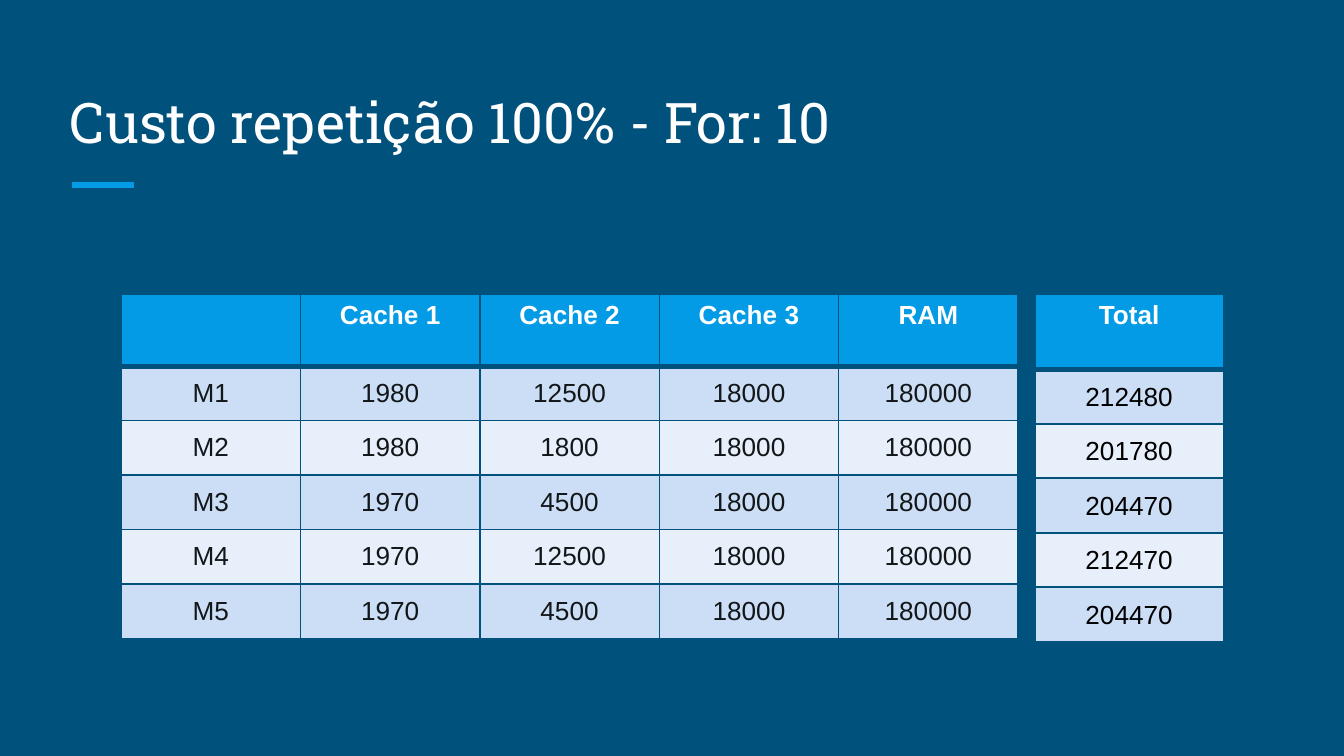
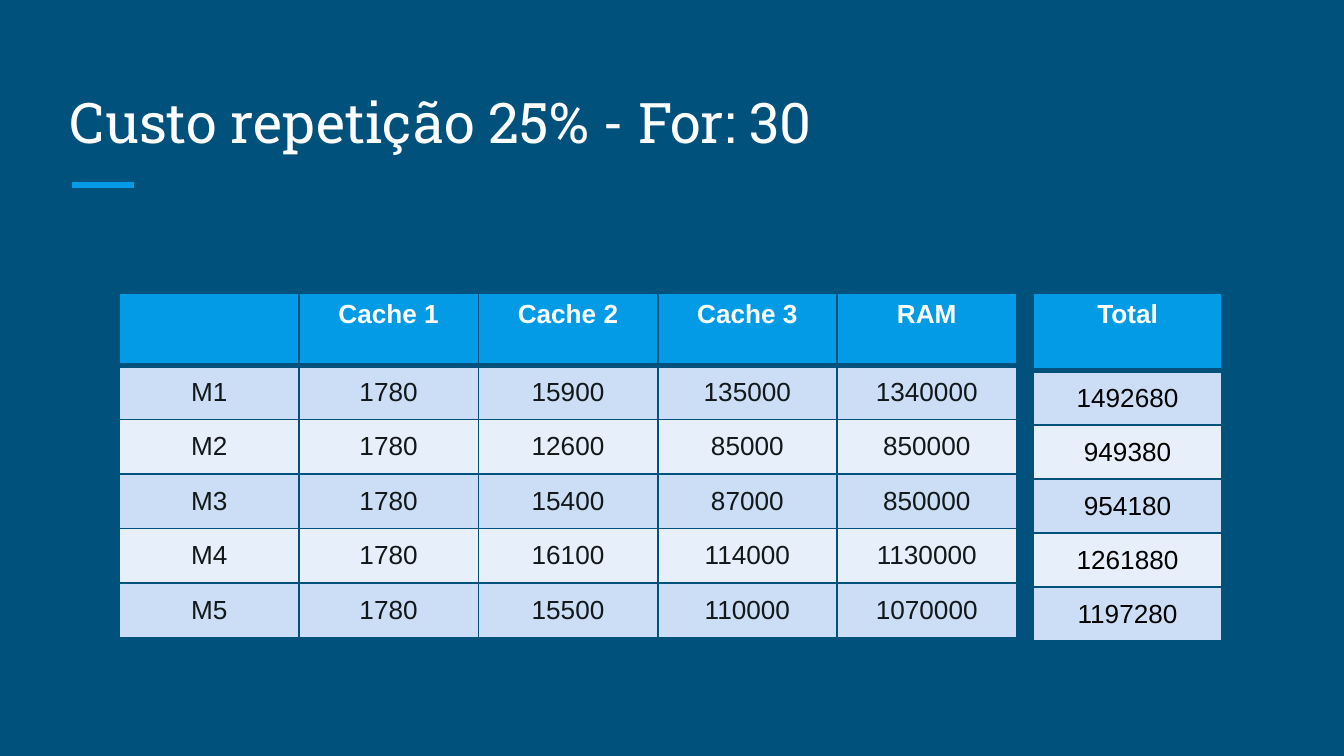
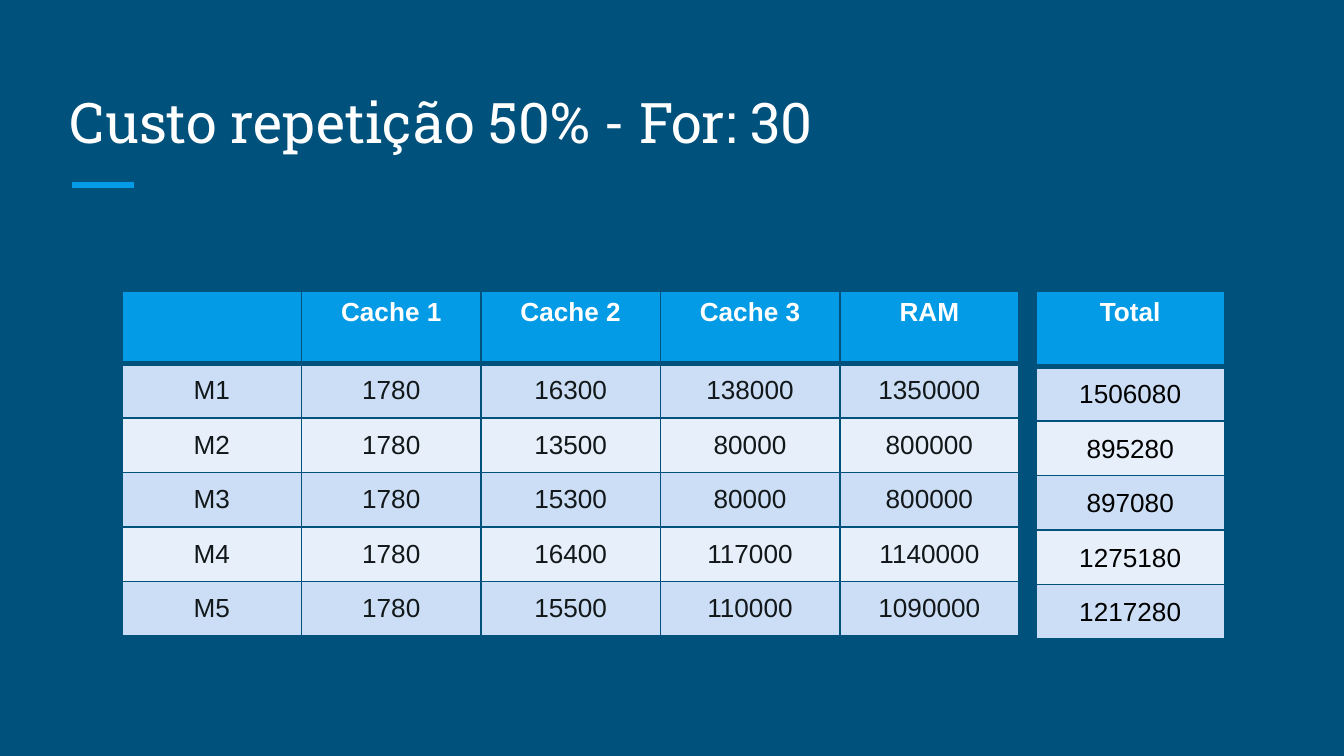
"""Build three slides of memory cost tables with a total column."""
import dataclasses

import lxml.etree
import pptx
import pptx.dml.color
import pptx.enum.shapes
import pptx.enum.text
import pptx.oxml.ns
import pptx.slide
import pptx.table
import pptx.util

Cm = pptx.util.Cm
Pt = pptx.util.Pt
qn = pptx.oxml.ns.qn
BACK, BLUE, WHITE, BLACK = "00517C", "039BE5", "FFFFFF", "000000"
BANDS = ("CCDEF5", "E7EFFA")
INK = "121719"
HEADS = ["", "Cache 1", "Cache 2", "Cache 3", "RAM"]
COL, SUM_COL, SUM_GAP = 3.39, 3.56, 17.27
HEAD, ROW = 1.36, 1.03
TIGHT = (0.03, 0.03, 0.03, 0)


@dataclasses.dataclass
class Page:
    title: str
    left: float
    top: float
    costs: list[list[int]]
    ink: str = INK
    sum_head: float = 1.42
    sum_row: float = ROW


@dataclasses.dataclass
class Grid:
    left: float
    top: float
    width: float
    head: float
    row: float
    rows: list[list[str]]
    inks: list[str]
    pads: tuple[float, ...] | None = None


PAGES = [
    Page("Custo repetição 100% - For: 10", 2.29, 5.56, [
        [1980, 12500, 18000, 180000],
        [1980, 1800, 18000, 180000],
        [1970, 4500, 18000, 180000],
        [1970, 12500, 18000, 180000],
        [1970, 4500, 18000, 180000],
    ], ink="121618"),
    Page("Custo repetição 25% - For: 30", 2.26, 5.54, [
        [1780, 15900, 135000, 1340000],
        [1780, 12600, 85000, 850000],
        [1780, 15400, 87000, 850000],
        [1780, 16100, 114000, 1130000],
        [1780, 15500, 110000, 1070000],
    ], sum_head=1.47, sum_row=1.02),
    Page("Custo repetição 50% - For: 30", 2.31, 5.51, [
        [1780, 16300, 138000, 1350000],
        [1780, 13500, 80000, 800000],
        [1780, 15300, 80000, 800000],
        [1780, 16400, 117000, 1140000],
        [1780, 15500, 110000, 1090000],
    ]),
]


def rgb(code: str) -> pptx.dml.color.RGBColor:
    return pptx.dml.color.RGBColor.from_string(code)


def style(par, face: str, size: float, ink: str, bold: bool = False) -> None:
    font = par.font
    font.name, font.size, font.bold = face, Pt(size), bold
    font.color.rgb = rgb(ink)


def edge(cell: pptx.table._Cell, side: str, width: float) -> None:
    props = cell._tc.get_or_add_tcPr()
    line = lxml.etree.SubElement(props, qn(f"a:ln{side}"), w=str(Pt(width)))
    fill = lxml.etree.SubElement(line, qn("a:solidFill"))
    lxml.etree.SubElement(fill, qn("a:srgbClr"), val=BACK)


def paint(cell: pptx.table._Cell, text: str, row: int, ink: str,
          pads: tuple[float, ...] | None) -> None:
    head = row == 0
    for side in "LRTB":
        thick = (side == "B" and head) or (side == "T" and row == 1)
        edge(cell, side, 3 if thick else 1)
    cell.fill.solid()
    cell.fill.fore_color.rgb = rgb(BLUE if head else BANDS[(row - 1) % 2])
    if not head:
        cell.vertical_anchor = pptx.enum.text.MSO_ANCHOR.MIDDLE
        if pads:
            (cell.margin_left, cell.margin_top,
             cell.margin_right, cell.margin_bottom) = map(Cm, pads)
    if text:
        cell.text = text
        par = cell.text_frame.paragraphs[0]
        par.alignment = pptx.enum.text.PP_ALIGN.CENTER
        style(par, "Arial", 14, WHITE if head else ink, head)


def draw_grid(slide: pptx.slide.Slide, grid: Grid) -> None:
    count, cols = len(grid.rows), len(grid.inks)
    high = grid.head + grid.row * (count - 1)
    table = slide.shapes.add_table(
        count, cols, Cm(grid.left), Cm(grid.top),
        Cm(grid.width * cols), Cm(high)).table
    table.first_row = table.horz_banding = False
    for col in table.columns:
        col.width = Cm(grid.width)
    for num, texts in enumerate(grid.rows):
        table.rows[num].height = Cm(grid.row if num else grid.head)
        for col, (text, ink) in enumerate(zip(texts, grid.inks)):
            paint(table.cell(num, col), text, num, ink, grid.pads)


def draw_title(slide: pptx.slide.Slide, text: str) -> None:
    title = slide.shapes.title
    title.left, title.top = Cm(1.07), Cm(1.27)
    title.width, title.height = Cm(23.24), Cm(1.91)
    frame = title.text_frame
    frame.text = text
    frame.word_wrap = True
    frame.auto_size = pptx.enum.text.MSO_AUTO_SIZE.NONE
    frame.vertical_anchor = pptx.enum.text.MSO_ANCHOR.BOTTOM
    frame.margin_left = frame.margin_right = Cm(0.25)
    frame.margin_top = frame.margin_bottom = Cm(0.25)
    par = frame.paragraphs[0]
    par.alignment = pptx.enum.text.PP_ALIGN.LEFT
    style(par, "Roboto Slab", 30, WHITE)


def draw_rule(slide: pptx.slide.Slide) -> None:
    rule = slide.shapes.add_connector(
        pptx.enum.shapes.MSO_CONNECTOR.STRAIGHT,
        Cm(1.37), Cm(3.5), Cm(2.54), Cm(3.5))
    rule.line.color.rgb = rgb(BLUE)
    rule.line.width = Pt(3)
    lxml.etree.SubElement(rule._element.spPr, qn("a:effectLst"))


def draw_page(slide: pptx.slide.Slide, page: Page) -> None:
    draw_rule(slide)
    draw_title(slide, page.title)
    costs = [[f"M{num}", *map(str, row)]
             for num, row in enumerate(page.costs, 1)]
    sums = [[str(sum(row))] for row in page.costs]
    draw_grid(slide, Grid(page.left, page.top, COL, HEAD, ROW,
                          [HEADS, *costs], [INK] + [page.ink] * 4))
    draw_grid(slide, Grid(page.left + SUM_GAP, page.top, SUM_COL,
                          page.sum_head, page.sum_row,
                          [["Total"], *sums], [BLACK], TIGHT))


def main() -> None:
    deck = pptx.Presentation()
    deck.slide_width, deck.slide_height = Cm(25.4), Cm(14.29)
    back = deck.slide_master.background.fill
    back.solid()
    back.fore_color.rgb = rgb(BACK)
    for page in PAGES:
        draw_page(deck.slides.add_slide(deck.slide_layouts[5]), page)
    deck.save("out.pptx")


main()
